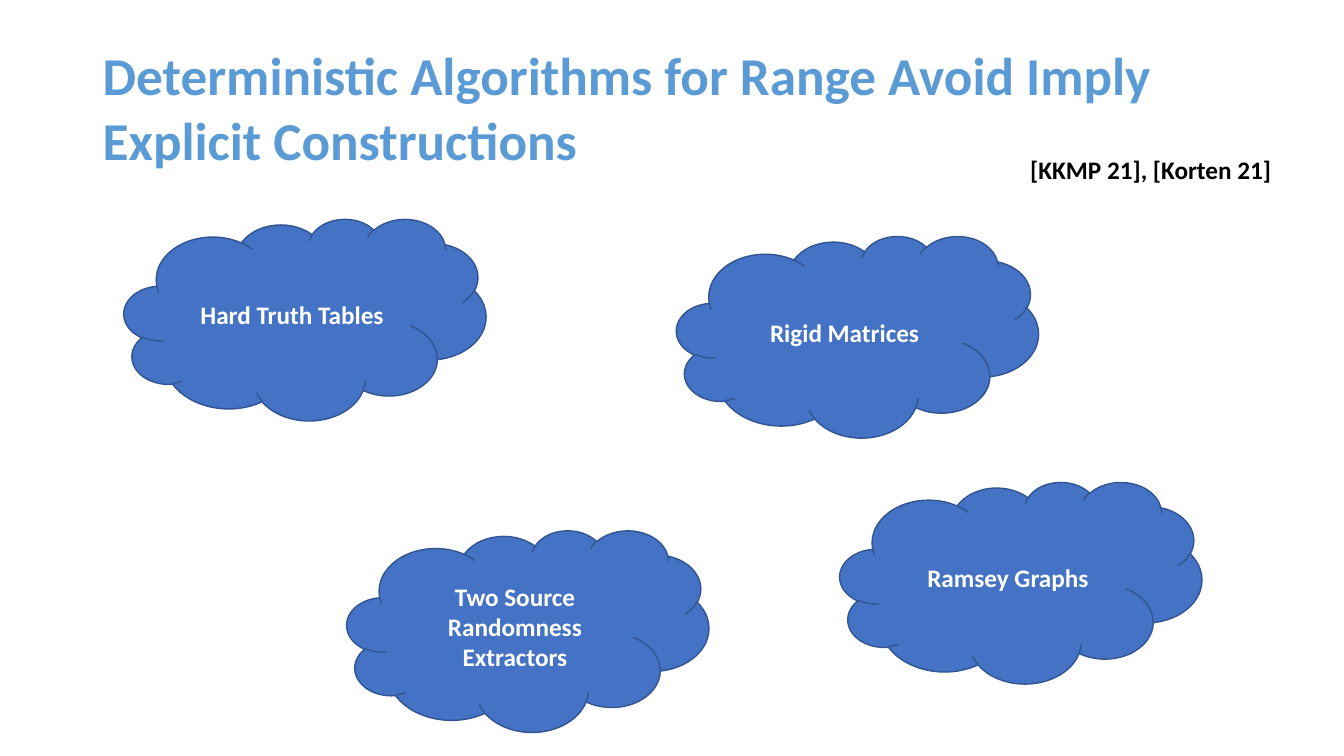
from pptx import Presentation
from pptx.dml.color import RGBColor as RGB
from pptx.enum.shapes import MSO_SHAPE as Shape
from pptx.enum.text import MSO_ANCHOR as Anchor, PP_ALIGN as Align
from pptx.util import Inches, Pt

# Content: runs as (text, size); clouds as (text, left, top)
TITLE = [("Deterministic Algorithms for Range Avoid Imply Explicit Constructions", 38),
         (" ", 44)]
CITE = [("[KKMP 21], [Korten 21]", 18)]
CLOUDS = [
    ("Ramsey Graphs", 8.33, 4.78),
    ("Two Source Randomness Extractors", 3.44, 5.26),
    ("Hard Truth Tables", 1.23, 2.17),
    ("Rigid Matrices", 6.71, 2.34),
]
CLOUD_SIZE = (3.59, 2)

SKY = RGB(0x5B, 0x9B, 0xD5)
BLUE = RGB(0x44, 0x72, 0xC4)
NAVY = RGB(0x32, 0x54, 0x91)
BLACK = RGB(0, 0, 0)
WHITE = RGB(255, 255, 255)


def write(shape, runs, color, anchor, align=Align.LEFT):
    frame = shape.text_frame
    frame.word_wrap = True
    frame.vertical_anchor = anchor
    para = frame.paragraphs[0]
    para.alignment = align
    for text, size in runs:
        run = para.add_run()
        run.text = text
        font = run.font
        font.name, font.size, font.bold = "Calibri", Pt(size), True
        font.color.rgb = color
    return para


def box(*area):
    return [Inches(n) for n in area]


deck = Presentation()
deck.slide_width, deck.slide_height = box(13.33, 7.5)
slide = deck.slides.add_slide(deck.slide_layouts[6])
shapes = slide.shapes

# Title and citation
title = shapes.add_textbox(*box(0.92, 0.4, 12.24, 1.41))
write(title, TITLE, SKY, Anchor.MIDDLE).line_spacing = 0.9
cite = shapes.add_textbox(*box(10.12, 1.48, 2.94, 0.4))
write(cite, CITE, BLACK, Anchor.TOP)

# Clouds
for text, left, top in CLOUDS:
    cloud = shapes.add_shape(Shape.CLOUD, *box(left, top, *CLOUD_SIZE))
    cloud.shadow.inherit = False
    cloud.fill.solid()
    cloud.fill.fore_color.rgb = BLUE
    cloud.line.color.rgb = NAVY
    cloud.line.width = Pt(1)
    write(cloud, [(text, 18)], WHITE, Anchor.MIDDLE, Align.CENTER)

deck.save("out.pptx")
